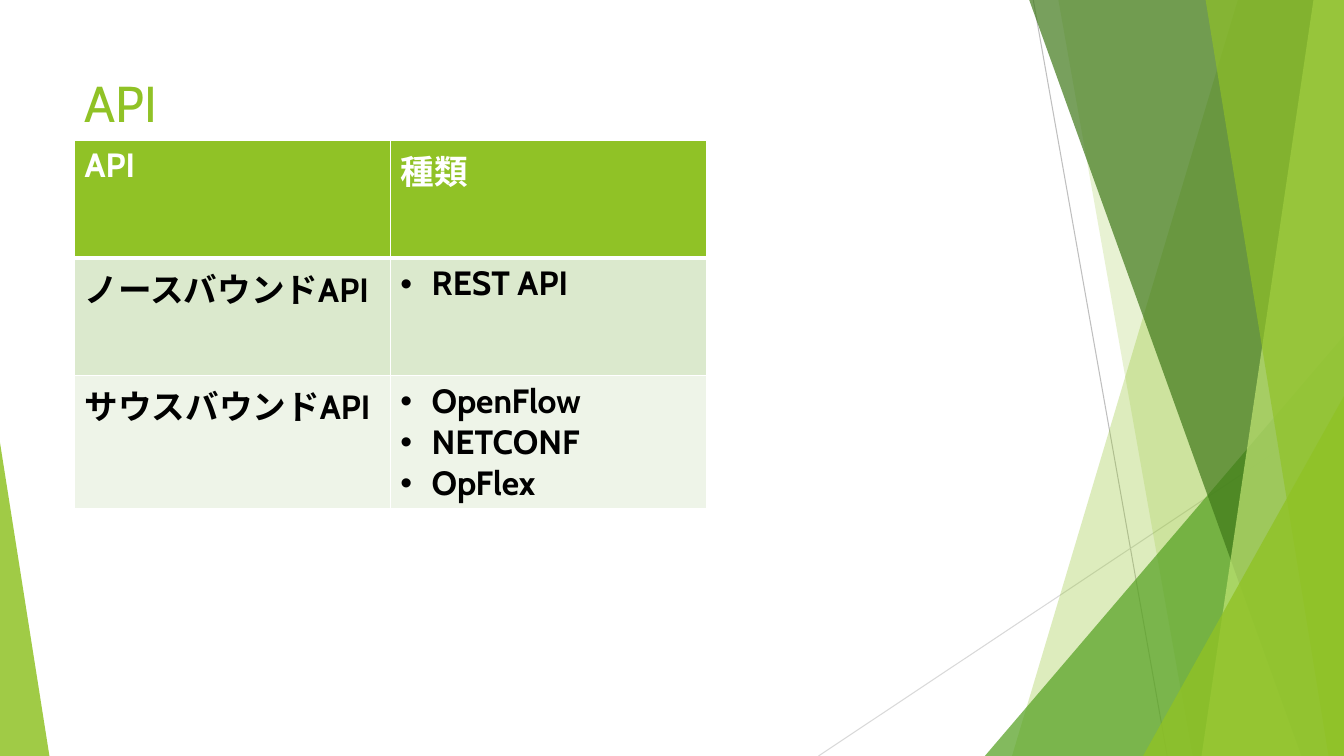
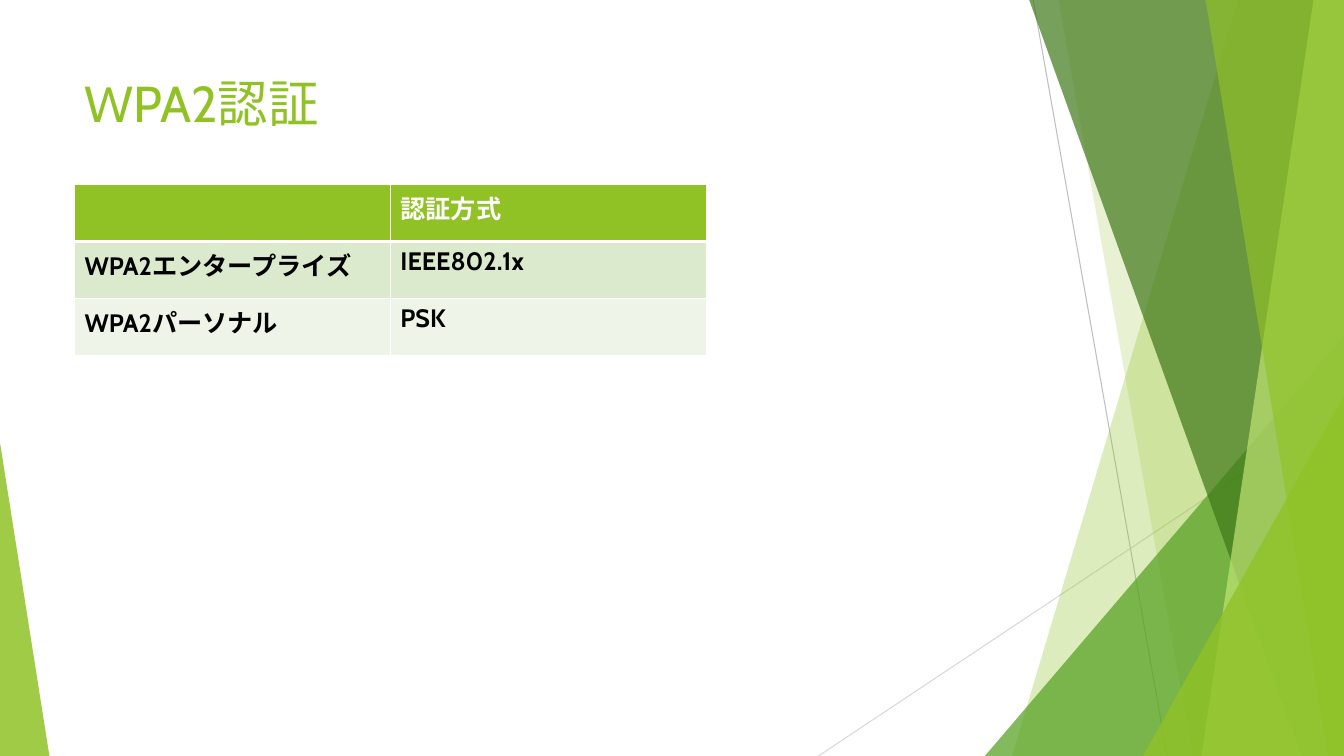
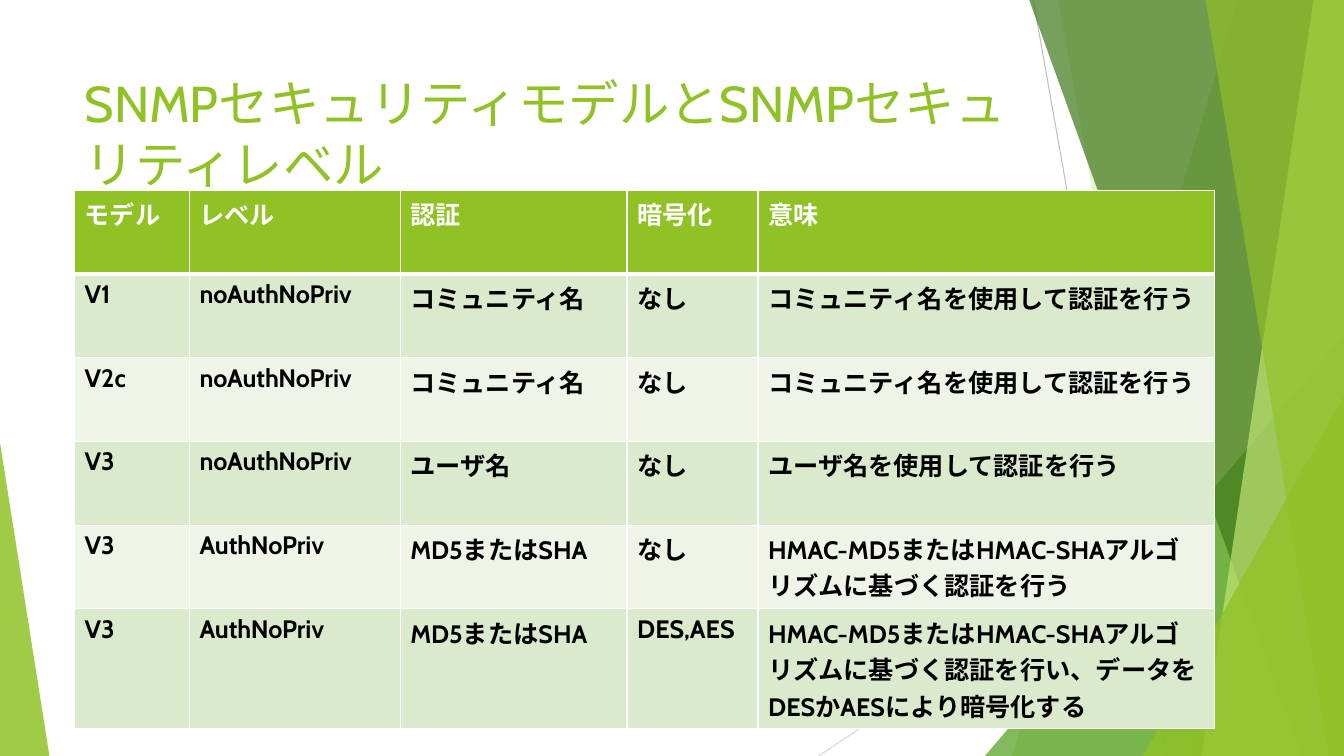
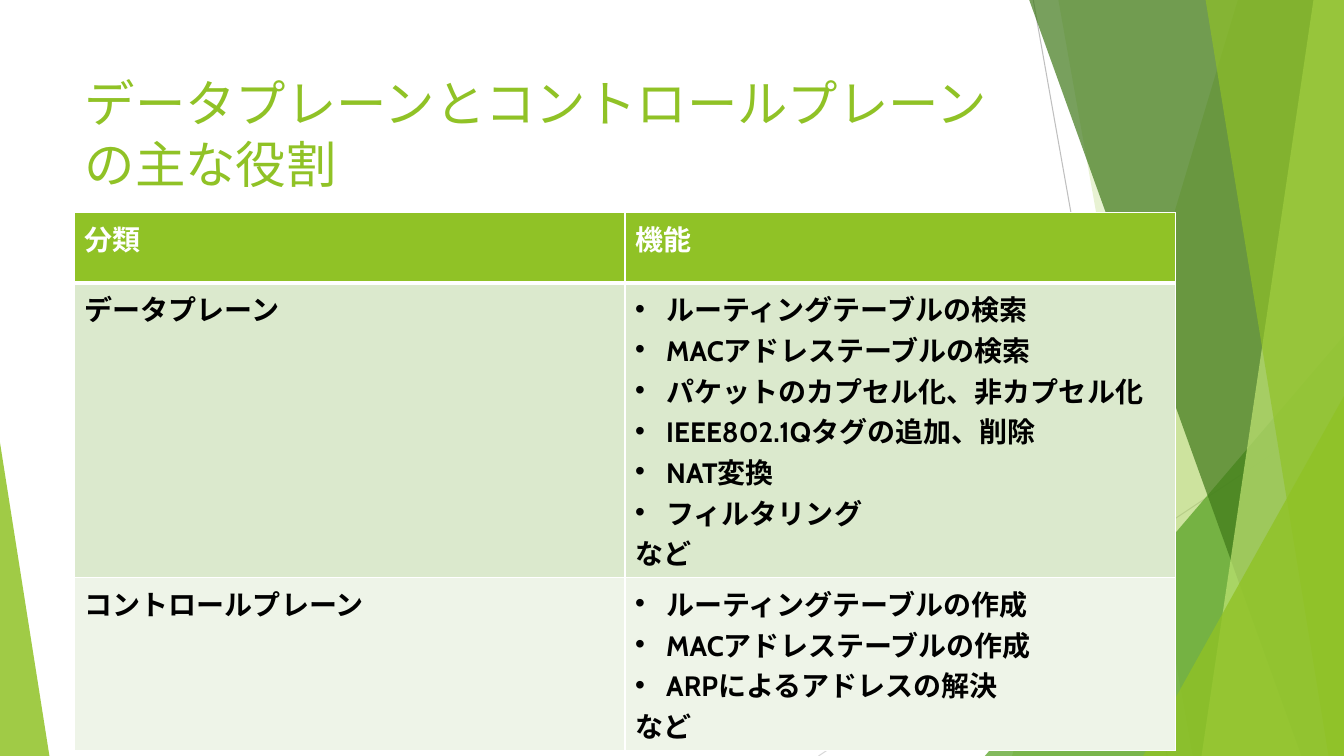
"""Build four slides of network study tables on a green faceted layout."""
import pptx
import pptx.dml.color
import pptx.enum.lang
import pptx.enum.shapes
import pptx.enum.text
import pptx.oxml.ns
import pptx.util
from lxml import etree

COLORS = {
    "green": "90C226",
    "leaf": "54A021",
    "forest": "3F7819",
    "lime": "C0E474",
    "band": "DBE9CD",
    "pale": "EEF4E8",
    "white": "FFFFFF",
    "black": "000000",
    "gray": "BFBFBF",
    "silver": "D9D9D9",
}
FONT = "Cabin"
LEFT = 5.55
BULLET = "• "
BULLET_INDENT = pptx.util.Inches(0.31)


def rgb(name):
    return pptx.dml.color.RGBColor.from_string(COLORS[name])


def add_node(parent, tag, **attributes):
    return etree.SubElement(parent, pptx.oxml.ns.qn(tag), attributes)


def write(paragraph, text, size=18, color="black", bold=False):
    if text.startswith(BULLET):
        text = text.removeprefix(BULLET)
        properties = paragraph._p.get_or_add_pPr()
        properties.set("marL", str(BULLET_INDENT))
        properties.set("indent", str(-BULLET_INDENT))
        add_node(properties, "a:buFont", typeface="Arial")
        add_node(properties, "a:buChar", char=BULLET.strip())
    paragraph.alignment = pptx.enum.text.PP_ALIGN.LEFT
    run = paragraph.add_run()
    run.text = text
    run.font.name = FONT
    run.font.size = pptx.util.Pt(size)
    run.font.bold = bold
    run.font.color.rgb = rgb(color)
    run.font.language_id = pptx.enum.lang.MSO_LANGUAGE_ID.JAPANESE


class Deck:
    """Holds the style and the current slide; lengths are percent of the slide size."""

    def __init__(self):
        self.presentation = pptx.Presentation()
        self.presentation.slide_width = pptx.util.Inches(13.33)
        self.presentation.slide_height = pptx.util.Inches(7.5)
        self.layout = self.presentation.slide_layouts.get_by_name("Title Only")
        self.slide = None
        self.prepare_layout()

    def x(self, share):
        return round(self.presentation.slide_width * share / 100)

    def y(self, share):
        return round(self.presentation.slide_height * share / 100)

    def prepare_layout(self):
        for placeholder in list(self.layout.placeholders):
            if placeholder.placeholder_format.idx:
                self.layout.shapes.element.remove(placeholder.element)
        title = self.layout.placeholders[0]
        title.left, title.top = self.x(LEFT), self.y(8.93)
        title.width, title.height = self.x(70.5), self.y(19.2)
        title.text_frame.vertical_anchor = pptx.enum.text.MSO_ANCHOR.TOP
        title.text_frame.auto_size = pptx.enum.text.MSO_AUTO_SIZE.NONE

    def add_slide(self, title):
        self.slide = self.presentation.slides.add_slide(self.layout)
        paragraph = self.slide.shapes.title.text_frame.paragraphs[0]
        write(paragraph, title, size=36, color="green")

    def share_with_layout(self, shape):
        self.layout.shapes.element.append(shape.element)

    def add_line(self, start, end, color):
        line = self.slide.shapes.add_connector(
            pptx.enum.shapes.MSO_CONNECTOR.STRAIGHT,
            self.x(start[0]), self.y(start[1]), self.x(end[0]), self.y(end[1]))
        line.line.color.rgb = rgb(color)
        line.line.width = pptx.util.Pt(0.75)
        add_node(line.element.spPr, "a:effectLst")
        return line

    def paint(self, shape, color, opacity):
        shape.shadow.inherit = False
        shape.fill.solid()
        shape.fill.fore_color.rgb = rgb(color)
        shape.line.fill.background()
        tint = shape.element.spPr.find(".//" + pptx.oxml.ns.qn("a:srgbClr"))
        add_node(tint, "a:alpha", val=str(opacity * 1000))
        return shape

    def add_pane(self, top_left, bottom_left, color, opacity):
        builder = self.slide.shapes.build_freeform(self.x(top_left), 0)
        corners = [(100, 0), (100, 100), (bottom_left, 100)]
        builder.add_line_segments([(self.x(x), self.y(y)) for x, y in corners])
        return self.paint(builder.convert_to_shape(), color, opacity)

    def add_triangle(self, left, right, top, apex, color, opacity):
        triangle = self.slide.shapes.add_shape(
            pptx.enum.shapes.MSO_SHAPE.ISOSCELES_TRIANGLE,
            self.x(left), self.y(top), self.x(right - left), self.y(100 - top))
        triangle.adjustments[0] = apex
        return self.paint(triangle, color, opacity)

    def add_backdrop(self):
        for shape in (
            self.add_line((76.88, 0), (86.85, 100), "gray"),
            self.add_line((100, 53.73), (60.9, 100), "silver"),
            self.add_pane(92.1, 75.3, "green", 30),
            self.add_pane(78.75, 88.73, "green", 20),
            self.add_triangle(73.28, 100, 44.4, 1, "leaf", 72),
            self.add_pane(76.58, 96.83, "forest", 70),
            self.add_pane(97.73, 89.4, "lime", 70),
            self.add_pane(89.7, 98.85, "green", 65),
            self.add_triangle(85.05, 100, 52.4, 1, "green", 80),
            self.add_triangle(0, 3.68, 58.53, 0, "green", 85),
        ):
            self.share_with_layout(shape)

    def add_borders(self, cell, row):
        widths = {"L": 1, "R": 1, "T": 3 if row == 1 else 1, "B": 3 if row == 0 else 1}
        properties = cell._tc.get_or_add_tcPr()
        for side, width in widths.items():
            border = add_node(properties, "a:ln" + side, w=str(pptx.util.Pt(width)))
            add_node(add_node(border, "a:solidFill"), "a:srgbClr", val=COLORS["white"])

    def fill_cell(self, cell, text, row, size):
        self.add_borders(cell, row)
        cell.fill.solid()
        cell.fill.fore_color.rgb = rgb(("pale", "band")[row % 2] if row else "green")
        color = "black" if row else "white"
        for index, line in enumerate(text.splitlines()):
            frame = cell.text_frame
            paragraph = frame.add_paragraph() if index else frame.paragraphs[0]
            write(paragraph, line, size=size, color=color, bold=True)

    def add_table(self, top, columns, rows, cells, size):
        table = self.slide.shapes.add_table(
            len(rows), len(columns), self.x(LEFT), self.y(top),
            self.x(sum(columns)), self.y(sum(rows))).table
        table.first_row = table.horz_banding = False
        for column, width in zip(table.columns, columns):
            column.width = self.x(width)
        for row, height in zip(table.rows, rows):
            row.height = self.y(height)
        for row, texts in enumerate(cells):
            for column, text in enumerate(texts):
                self.fill_cell(table.cell(row, column), text, row, size)


def bullets(*items):
    return "\n".join(BULLET + item for item in items)


deck = Deck()

deck.add_slide("API")
deck.add_backdrop()
deck.add_table(18.53, [23.5] * 2, [15.6] * 3, [
    ("API", "種類"),
    ("ノースバウンドAPI", bullets("REST API")),
    ("サウスバウンドAPI", bullets("OpenFlow", "NETCONF", "OpFlex")),
], size=24)

deck.add_slide("WPA2認証")
deck.add_table(24.4, [23.5] * 2, [7.55] * 3, [
    ("", "認証方式"),
    ("WPA2エンタープライズ", "IEEE802.1x"),
    ("WPA2パーソナル", "PSK"),
], size=18)

deck.add_slide("SNMPセキュリティモデルとSNMPセキュリティレベル")
deck.add_table(25.2, [8.55, 15.68, 16.88, 9.75, 33.98], [11.07] * 5 + [14], [
    ("モデル", "レベル", "認証", "暗号化", "意味"),
    ("V1", "noAuthNoPriv", "コミュニティ名", "なし", "コミュニティ名を使用して認証を行う"),
    ("V2c", "noAuthNoPriv", "コミュニティ名", "なし", "コミュニティ名を使用して認証を行う"),
    ("V3", "noAuthNoPriv", "ユーザ名", "なし", "ユーザ名を使用して認証を行う"),
    ("V3", "AuthNoPriv", "MD5またはSHA", "なし",
     "HMAC-MD5またはHMAC-SHAアルゴリズムに基づく認証を行う"),
    ("V3", "AuthNoPriv", "MD5またはSHA", "DES,AES",
     "HMAC-MD5またはHMAC-SHAアルゴリズムに基づく認証を行い、データをDESかAESにより暗号化する"),
], size=18)

deck.add_slide("データプレーンとコントロールプレーンの主な役割")
deck.add_table(28.13, [40.95] * 2, [9.33, 20.4, 20.4], [
    ("分類", "機能"),
    ("データプレーン", bullets(
        "ルーティングテーブルの検索", "MACアドレステーブルの検索",
        "パケットのカプセル化、非カプセル化", "IEEE802.1Qタグの追加、削除",
        "NAT変換", "フィルタリング") + "\nなど"),
    ("コントロールプレーン", bullets(
        "ルーティングテーブルの作成", "MACアドレステーブルの作成",
        "ARPによるアドレスの解決") + "\nなど"),
], size=20)

deck.presentation.save("out.pptx")
